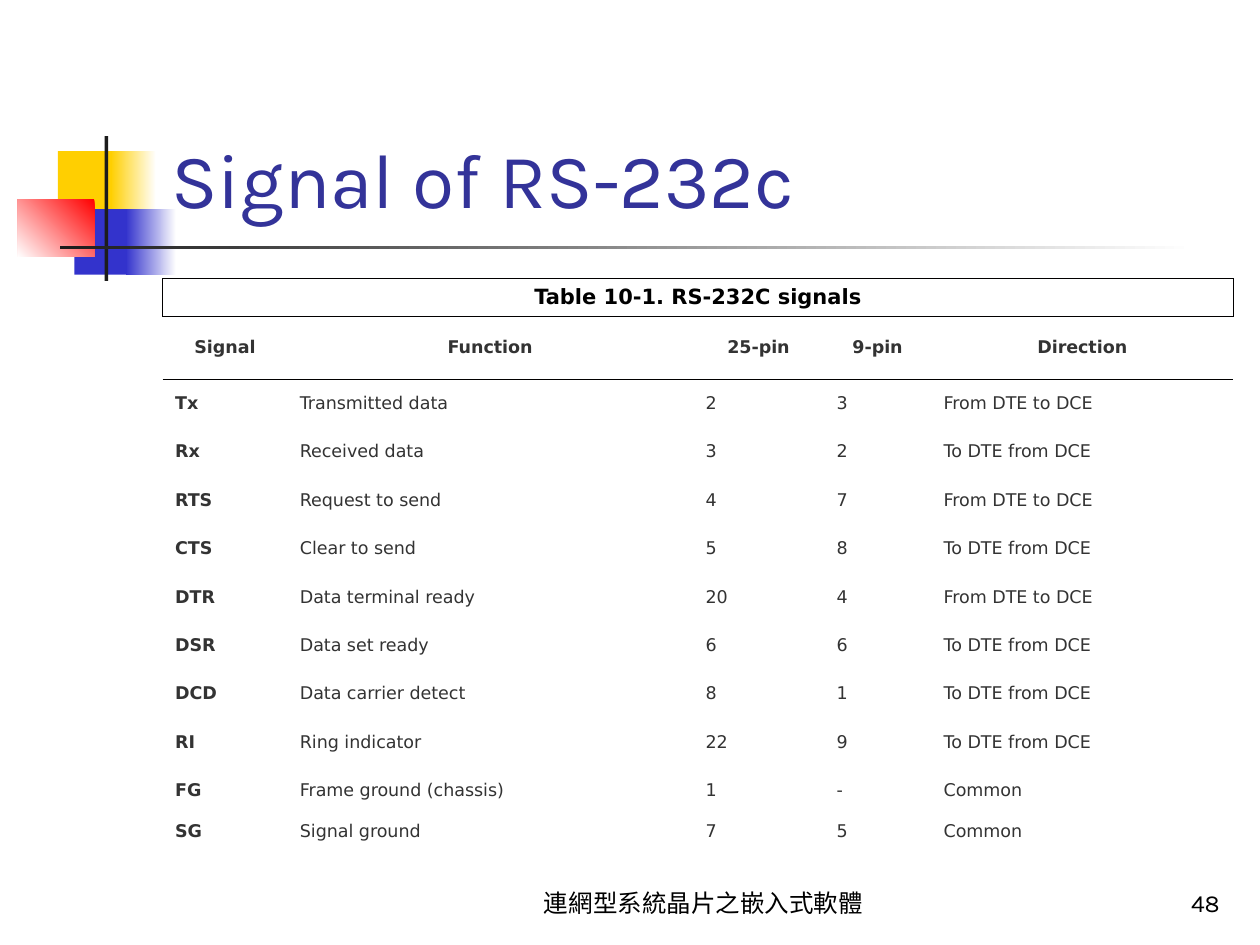
"""Build the RS-232C signal table slide."""
from lxml import etree
from pptx import Presentation, util as u
from pptx.dml.color import RGBColor
from pptx.enum import shapes, text
from pptx.oxml.ns import qn

COLORS = {
    "yellow": "FFCF01", "blue": "3333CC", "red": "FF0000", "white": "FFFFFF",
    "bar": "1C1C1C", "title": "333399", "black": "000000", "body": "333333",
    "border": "010000",
}
ORNAMENTS = [
    ((0.46, 1.2, 0.48, 0.52), ("yellow",), 0),
    ((0.88, 1.2, 0.36, 0.52), ("white", "yellow"), 180),
    ((0.59, 1.66, 0.46, 0.52), ("blue",), 0),
    ((1, 1.66, 0.4, 0.52), ("white", "blue"), 180),
    ((0.14, 1.58, 0.61, 0.46), ("red", "white"), 225),
    ((0.83, 1.08, 0.03, 1.15), ("bar",), 0),
    ((0.48, 1.95, 9, 0.03), ("white", "bar"), 180),
]
CAPTION = "Table 10-1. RS-232C signals"
HEADERS = ("Signal", "Function", "25-pin", "9-pin", "Direction")
FROM_DTE, TO_DTE = "From DTE to DCE", "To DTE from DCE"
SIGNALS = [
    ("Tx", "Transmitted data", "2", "3", FROM_DTE),
    ("Rx", "Received data", "3", "2", TO_DTE),
    ("RTS", "Request to send", "4", "7", FROM_DTE),
    ("CTS", "Clear to send", "5", "8", TO_DTE),
    ("DTR", "Data terminal ready", "20", "4", FROM_DTE),
    ("DSR", "Data set ready", "6", "6", TO_DTE),
    ("DCD", "Data carrier detect", "8", "1", TO_DTE),
    ("RI", "Ring indicator", "22", "9", TO_DTE),
    ("FG", "Frame ground (chassis)", "1", "-", "Common"),
    ("SG", "Signal ground", "7", "5", "Common"),
]
COLUMN_WIDTHS = (0.99, 3.22, 1.04, 0.85, 2.4)
TABLE_BOX = (1.29, 2.21, 8.5, 4.53)
CAPTION_HEIGHT, HEADER_HEIGHT, LAST_HEIGHT = 0.3, 0.5, 0.27
PLAIN_TABLE_STYLE = "{2D5ABB26-0587-4C30-8999-92F81FD0307C}"
ALIGN = text.PP_ALIGN


def color(name):
    """Return the named colour."""
    return RGBColor.from_string(COLORS[name])


def inches(box):
    """Convert a box of numbers to lengths."""
    return [u.Inches(value) for value in box]


def write(frame, words, color_name, alignment, **formats):
    """Fill a text frame with one formatted paragraph."""
    paragraph = frame.paragraphs[0]
    paragraph.text = words
    paragraph.alignment = alignment
    for name, value in formats.items():
        setattr(paragraph.font, name, value)
    paragraph.font.color.rgb = color(color_name)


def add_ornament(slide, box, color_names, angle):
    """Add a solid or gradient rectangle."""
    shape = slide.shapes.add_shape(shapes.MSO_SHAPE.RECTANGLE, *inches(box))
    shape.shadow.inherit = False
    shape.line.fill.background()
    if len(color_names) == 1:
        shape.fill.solid()
        shape.fill.fore_color.rgb = color(color_names[0])
        return
    shape.fill.gradient()
    shape.fill.gradient_angle = angle
    for stop, name in zip(shape.fill.gradient_stops, color_names):
        stop.color.rgb = color(name)


def write_bottom(shape, words, color_name, alignment, size):
    """Write text standing on the bottom of a shape."""
    frame = shape.text_frame
    settings = {"word_wrap": True, "auto_size": text.MSO_AUTO_SIZE.NONE,
                "vertical_anchor": text.MSO_ANCHOR.BOTTOM}
    for name, value in settings.items():
        setattr(frame, name, value)
    write(frame, words, color_name, alignment, size=u.Pt(size), name="Karla")


def set_title(slide, words):
    """Place the title in front of the ornaments."""
    title = slide.shapes.title
    title.left, title.top, title.width, title.height = inches((1.26, 0.23, 8.52, 1.6))
    write_bottom(title, words, "title", ALIGN.LEFT, 44)
    title.element.getparent().append(title.element)


def add_footer(slide, box, words, alignment):
    """Add a footer text box."""
    write_bottom(slide.shapes.add_textbox(*inches(box)), words, "black", alignment, 14)


def set_borders(cell, sides):
    """Draw hairlines on the given sides of a cell."""
    properties = cell._tc.get_or_add_tcPr()
    for index, side in enumerate(sides):
        line = etree.Element(qn(f"a:ln{side}"), w=str(u.Pt(0.06)))
        fill = etree.SubElement(line, qn("a:solidFill"))
        etree.SubElement(fill, qn("a:srgbClr"), val=COLORS["border"])
        properties.insert(index, line)


def fill_cell(cell, words, color_name, alignment, size, bold):
    """Write one table cell."""
    cell.fill.background()
    cell.vertical_anchor = text.MSO_ANCHOR.MIDDLE
    write(cell.text_frame, words, color_name, alignment,
          size=u.Pt(size), bold=bold, name="DejaVu Sans")


def add_signal_table(slide):
    """Add the captioned table of signals."""
    frame = slide.shapes.add_table(len(SIGNALS) + 2, len(HEADERS), *inches(TABLE_BOX))
    table = frame.table
    table.first_row = table.horz_banding = False
    table._tbl.tblPr.find(qn("a:tableStyleId")).text = PLAIN_TABLE_STYLE
    for column, width in zip(table.columns, COLUMN_WIDTHS):
        column.width = u.Inches(width)
    repeats = len(SIGNALS) - 1
    row_height = (TABLE_BOX[3] - CAPTION_HEIGHT - HEADER_HEIGHT - LAST_HEIGHT) / repeats
    heights = [CAPTION_HEIGHT, HEADER_HEIGHT, *[row_height] * repeats, LAST_HEIGHT]
    for row, height in zip(table.rows, heights):
        row.height = u.Inches(height)

    caption = table.cell(0, 0)
    caption.merge(table.cell(0, len(HEADERS) - 1))
    fill_cell(caption, CAPTION, "black", ALIGN.CENTER, 12, True)
    for column in range(len(HEADERS)):
        set_borders(table.cell(0, column), "LRTB")
        set_borders(table.cell(1, column), "T")
    for row, values in enumerate([HEADERS, *SIGNALS], start=1):
        header = row == 1
        alignment = ALIGN.CENTER if header else ALIGN.LEFT
        for column, words in enumerate(values):
            fill_cell(table.cell(row, column), words, "body", alignment, 10,
                      header or column == 0)


def main():
    """Build and save the presentation."""
    presentation = Presentation()
    presentation.slide_width, presentation.slide_height = inches((10, 7.5))
    slide = presentation.slides.add_slide(presentation.slide_layouts[5])
    for ornament in ORNAMENTS:
        add_ornament(slide, *ornament)
    set_title(slide, "Signal of RS-232c")
    add_signal_table(slide)
    add_footer(slide, (4, 6.83, 3.17, 0.5), "連網型系統晶片之嵌入式軟體", ALIGN.CENTER)
    add_footer(slide, (7.7, 6.83, 2.08, 0.5), "48", ALIGN.RIGHT)
    presentation.save("out.pptx")


if __name__ == "__main__":
    main()
